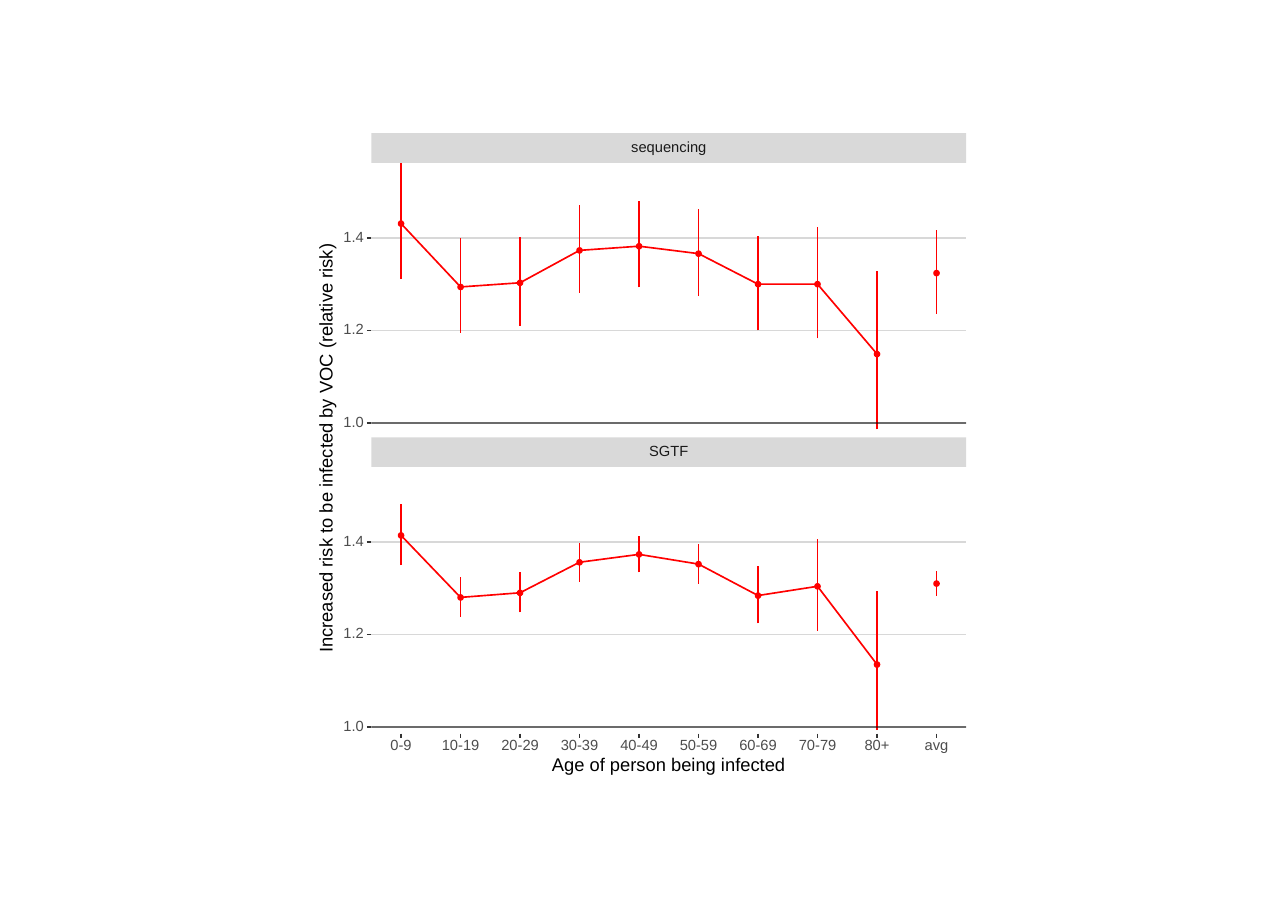
from dataclasses import dataclass

from lxml import etree
from pptx import Presentation
from pptx.dml.color import RGBColor
from pptx.enum.shapes import MSO_CONNECTOR, MSO_SHAPE
from pptx.enum.text import MSO_ANCHOR, PP_ALIGN
from pptx.oxml.ns import qn
from pptx.shapes.autoshape import Shape
from pptx.shapes.connector import Connector
from pptx.slide import Slide
from pptx.util import Inches, Pt

LINE = MSO_CONNECTOR.STRAIGHT
RECT = MSO_SHAPE.RECTANGLE
OVAL = MSO_SHAPE.OVAL
MIDDLE = MSO_ANCHOR.MIDDLE
CENTER = PP_ALIGN.CENTER


@dataclass(frozen=True)
class Theme:
    font: str = "Arial"
    small: float = 9.6
    large: float = 12
    stroke: float = 1.07
    rim: float = 0.71
    paper: str = "FFFFFF"
    grid: str = "D8D8D8"
    strip: str = "D9D9D9"
    head: str = "1A1A1A"
    label: str = "4D4D4D"
    tick: str = "333333"
    black: str = "000000"
    red: str = "FF0000"


@dataclass(frozen=True)
class Risk:
    low: float
    mid: float
    high: float


@dataclass(frozen=True)
class Panel:
    name: str
    width: float
    base: float
    risks: tuple[Risk, ...]


THEME = Theme()
LEFT, WIDE = 3.37, 5.4
FIRST, STEP = 3.64, 0.54
TICK = 0.04
DOT = 0.05
PERCENT = 0.042
AGES = ("0-9", "10-19", "20-29", "30-39", "40-49",
        "50-59", "60-69", "70-79", "80+", "avg")
LEVELS = (0, 20, 40)
PANELS = (
    Panel("sequencing", 0.72, 3.84, (
        Risk(31.1, 43.1, 56.2), Risk(19.5, 29.4, 40), Risk(21, 30.3, 40.2),
        Risk(28.1, 37.3, 47.1), Risk(29.3, 38.2, 47.9), Risk(27.4, 36.6, 46.2),
        Risk(20, 30, 40.5), Risk(18.3, 30, 42.4), Risk(-1.4, 14.9, 32.9),
        Risk(23.6, 32.4, 41.7))),
    Panel("SGTF", 0.38, 6.6, (
        Risk(35, 41.4, 48.3), Risk(23.8, 28, 32.4), Risk(24.8, 29, 33.4),
        Risk(31.4, 35.6, 39.8), Risk(33.4, 37.3, 41.2), Risk(31, 35.2, 39.5),
        Risk(22.4, 28.4, 34.8), Risk(20.8, 30.4, 40.7), Risk(-0.7, 13.5, 29.3),
        Risk(28.4, 31, 33.8))),
)


def color(code: str) -> RGBColor:
    return RGBColor.from_string(code)


def place(index: int) -> float:
    return FIRST + index * STEP


def level(panel: Panel, value: float) -> float:
    return panel.base - value * PERCENT


def draw_line(slide: Slide, x1: float, y1: float, x2: float, y2: float,
              code: str) -> Connector:
    line = slide.shapes.add_connector(
        LINE, Inches(x1), Inches(y1), Inches(x2), Inches(y2))
    line.line.color.rgb = color(code)
    line.line.width = Pt(THEME.stroke)
    etree.SubElement(line._element.spPr, qn("a:effectLst"))
    return line


def draw_shape(slide: Slide, kind: MSO_SHAPE, x: float, y: float, width: float,
               height: float, fill: str, rim: float = 0) -> Shape:
    shape = slide.shapes.add_shape(
        kind, Inches(x), Inches(y), Inches(width), Inches(height))
    shape.shadow.inherit = False
    shape.fill.solid()
    shape.fill.fore_color.rgb = color(fill)
    if rim:
        shape.line.color.rgb = color(fill)
        shape.line.width = Pt(rim)
    else:
        shape.line.fill.background()
    return shape


def draw_text(slide: Slide, text: str, x: float, y: float, width: float,
              size: float, code: str, turn: float = 0) -> None:
    height = size / 75
    box = slide.shapes.add_textbox(
        Inches(x - width / 2), Inches(y - height / 2),
        Inches(width), Inches(height))
    box.rotation = turn
    frame = box.text_frame
    frame.margin_left = frame.margin_right = 0
    frame.margin_top = frame.margin_bottom = 0
    frame.word_wrap = False
    frame.vertical_anchor = MIDDLE
    line = frame.paragraphs[0]
    line.text = text
    line.alignment = CENTER
    line.line_spacing = Pt(size)
    line.font.name = THEME.font
    line.font.size = Pt(size)
    line.font.color.rgb = color(code)


def draw_trend(slide: Slide, panel: Panel) -> None:
    spots = [(Inches(place(i)), Inches(level(panel, risk.mid)))
             for i, risk in enumerate(panel.risks[:-1])]
    pen = slide.shapes.build_freeform(*spots[0])
    pen.add_line_segments(spots[1:], close=False)
    trend = pen.convert_to_shape()
    trend.shadow.inherit = False
    trend.fill.background()
    trend.line.color.rgb = color(THEME.red)
    trend.line.width = Pt(THEME.stroke)


def draw_panel(slide: Slide, panel: Panel) -> None:
    right = LEFT + WIDE
    for value in LEVELS:
        y = level(panel, value)
        draw_line(slide, LEFT, y, right, y, THEME.grid)
        draw_line(slide, LEFT - TICK, y, LEFT, y, THEME.tick)
        draw_text(slide, f"{1 + value / 100:.1f}", 3.21, y, 0.21,
                  THEME.small, THEME.label)
    for i, risk in enumerate(panel.risks):
        x, y = place(i), level(panel, risk.mid)
        draw_shape(slide, OVAL, x - DOT / 2, y - DOT / 2, DOT, DOT,
                   THEME.red, THEME.rim)
        draw_line(slide, x, level(panel, risk.low), x,
                  level(panel, risk.high), THEME.red)
    draw_trend(slide, panel)
    base = draw_line(slide, LEFT, panel.base, right, panel.base, THEME.black)
    tint = base.line._ln.find(".//" + qn("a:srgbClr"))
    etree.SubElement(tint, qn("a:alpha"), val="50000")
    draw_shape(slide, RECT, LEFT, panel.base - 2.63, WIDE, 0.27, THEME.strip)
    draw_text(slide, panel.name, LEFT + WIDE / 2, panel.base - 2.5,
              panel.width, THEME.small, THEME.head)


def main() -> None:
    deck = Presentation()
    deck.slide_width, deck.slide_height = Inches(11.69), Inches(8.27)
    slide = deck.slides.add_slide(deck.slide_layouts[6])
    draw_shape(slide, RECT, 2.85, 1.14, 6, 6, THEME.paper, 0.75)
    for panel in PANELS:
        draw_panel(slide, panel)
    for i, age in enumerate(AGES):
        x = place(i)
        draw_line(slide, x, 6.66, x, 6.66 + TICK, THEME.tick)
        draw_text(slide, age, x, 6.77, len(age) * 0.06 + 0.09,
                  THEME.small, THEME.label)
    draw_text(slide, "Age of person being infected", LEFT + WIDE / 2, 6.95,
              2.18, THEME.large, THEME.black)
    draw_text(slide, "Increased risk to be infected by VOC (relative risk)",
              2.97, 4.07, 3.78, THEME.large, THEME.black, 270)
    deck.save("out.pptx")


if __name__ == "__main__":
    main()
